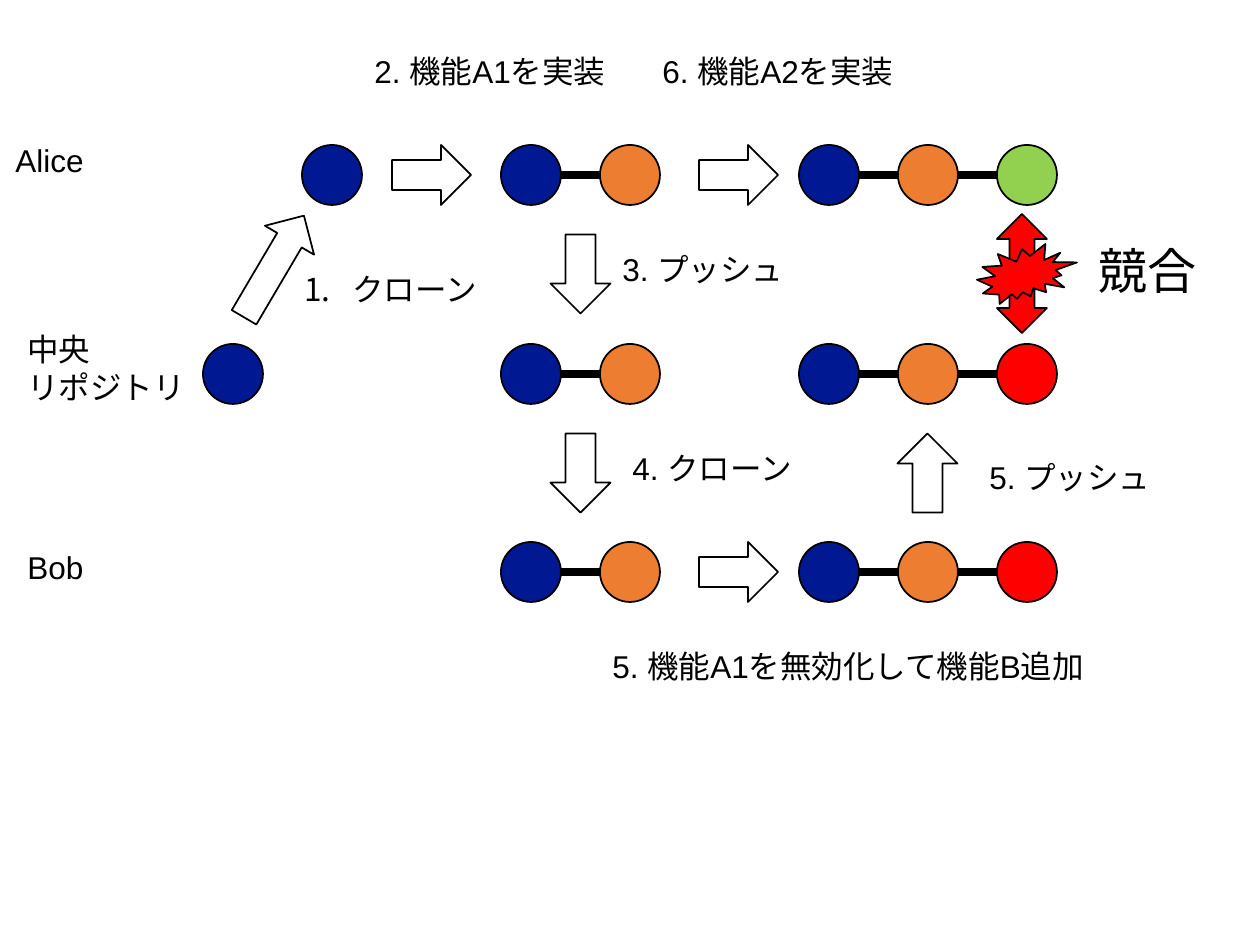
import pptx
import pptx.dml.color
import pptx.enum.lang
import pptx.enum.shapes
import pptx.enum.text
import pptx.oxml.ns
import pptx.util
from lxml import etree

PX = 914400 // 126
THEME = {
    "ink": "000000", "base": "011893", "a1": "ED7D31", "a2": "92D050", "b": "FF0000",
    "font": "Arial", "body": 18, "big": 28, "outline": 1, "link": 4.5,
}
SHAPE = pptx.enum.shapes.MSO_SHAPE
DIAMETER = 60
ROWS = {"alice": 145, "central": 344, "bob": 542}
COLS = [203, 302, 501, 600, 799, 898, 997]

prs = pptx.Presentation()
prs.slide_width, prs.slide_height = 1260 * PX, 945 * PX
s = prs.slides.add_slide(prs.slide_layouts[6])


def rgb(name):
    return pptx.dml.color.RGBColor.from_string(THEME[name])


def add_outlined(kind, x, y, w, h, fill=None, rotation=0):
    sp = s.shapes.add_shape(kind, x * PX, y * PX, w * PX, h * PX)
    sp.shadow.inherit = False
    sp.rotation = rotation
    if fill:
        sp.fill.solid()
        sp.fill.fore_color.rgb = rgb(fill)
    else:
        sp.fill.background()
    sp.line.color.rgb = rgb("ink")
    sp.line.width = pptx.util.Pt(THEME["outline"])


# Commit histories: row, first column, commits
histories = [
    ("central", 0, ["base"]),
    ("alice", 1, ["base"]),
    ("alice", 2, ["base", "a1"]),
    ("central", 2, ["base", "a1"]),
    ("bob", 2, ["base", "a1"]),
    ("bob", 4, ["base", "a1", "b"]),
    ("central", 4, ["base", "a1", "b"]),
    ("alice", 4, ["base", "a1", "a2"]),
]
for row, first, commits in histories:
    y = ROWS[row]
    for col, commit in enumerate(commits, first):
        add_outlined(SHAPE.OVAL, COLS[col], y, DIAMETER, DIAMETER, commit)
        if col > first:
            middle = (y + DIAMETER // 2) * PX
            link = s.shapes.add_connector(
                pptx.enum.shapes.MSO_CONNECTOR.STRAIGHT,
                (COLS[col - 1] + DIAMETER) * PX, middle, COLS[col] * PX, middle)
            link.line.color.rgb = rgb("ink")
            link.line.width = pptx.util.Pt(THEME["link"])
            etree.SubElement(link._element.spPr, pptx.oxml.ns.qn("a:effectLst"))

# Steps: x, y, width, height, rotation
arrows = [
    (215, 238, 118, 57, 300.5),
    (392, ROWS["alice"], 79, 60, 0),
    (541, 244, 79, 60, 90),
    (541, 443, 79, 60, 90),
    (699, ROWS["bob"], 79, 60, 0),
    (888, 443, 79, 60, 270),
    (699, ROWS["alice"], 79, 60, 0),
]
for x, y, w, h, rotation in arrows:
    add_outlined(SHAPE.RIGHT_ARROW, x, y, w, h, rotation=rotation)

# Conflict between the two histories
add_outlined(SHAPE.UP_DOWN_ARROW, 997, 214, 50, 119, "b")
add_outlined(SHAPE.EXPLOSION2, 977, 244, 100, 60, "b")

# Labels: x, y, width, height, type size, numbered, lines
labels = [
    (3, 135, 110, 50, "body", False, ["Alice"]),
    (15, 542, 110, 50, "body", False, ["Bob"]),
    (15, 324, 198, 89, "body", False, ["中央", "リポジトリ"]),
    (292, 264, 200, 50, "body", True, ["クローン"]),
    (362, 46, 258, 50, "body", False, ["2. 機能A1を実装"]),
    (610, 244, 188, 50, "body", False, ["3. プッシュ"]),
    (620, 443, 188, 50, "body", False, ["4. クローン"]),
    (600, 641, 503, 50, "body", False, ["5. 機能A1を無効化して機能B追加"]),
    (977, 452, 188, 50, "body", False, ["5. プッシュ"]),
    (650, 46, 258, 50, "body", False, ["6. 機能A2を実装"]),
    (1086, 234, 125, 72, "big", False, ["競合"]),
]
for x, y, w, h, size, numbered, lines in labels:
    tf = s.shapes.add_textbox(x * PX, y * PX, w * PX, h * PX).text_frame
    tf.word_wrap = True
    tf.auto_size = pptx.enum.text.MSO_AUTO_SIZE.SHAPE_TO_FIT_TEXT
    for i, line in enumerate(lines):
        p = tf.add_paragraph() if i else tf.paragraphs[0]
        if numbered:
            pPr = p._p.get_or_add_pPr()
            pPr.set("marL", str(48 * PX))
            pPr.set("indent", str(-48 * PX))
            etree.SubElement(pPr, pptx.oxml.ns.qn("a:buAutoNum"), type="arabicPeriod")
        r = p.add_run()
        r.text = line
        r.font.name = THEME["font"]
        r.font.size = pptx.util.Pt(THEME[size])
        r.font.color.rgb = rgb("ink")
        r.font.language_id = pptx.enum.lang.MSO_LANGUAGE_ID.JAPANESE

prs.save("out.pptx")
